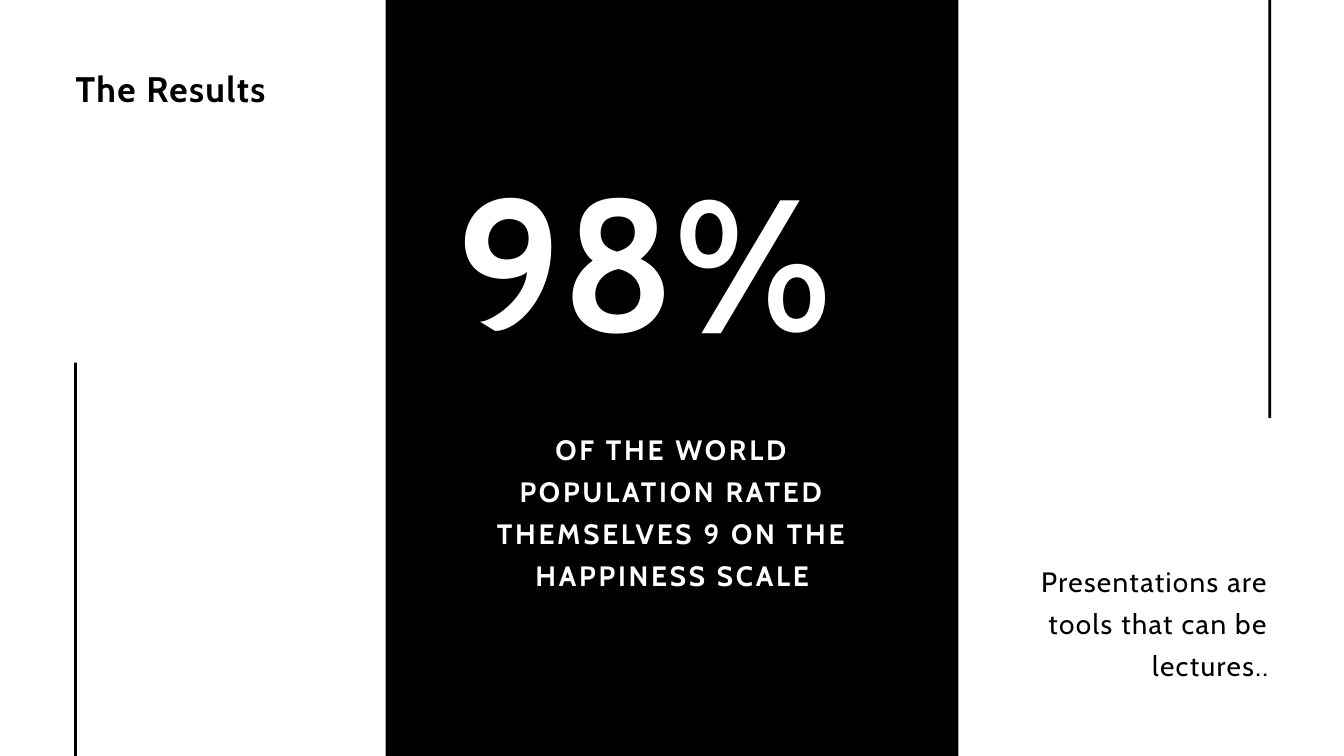
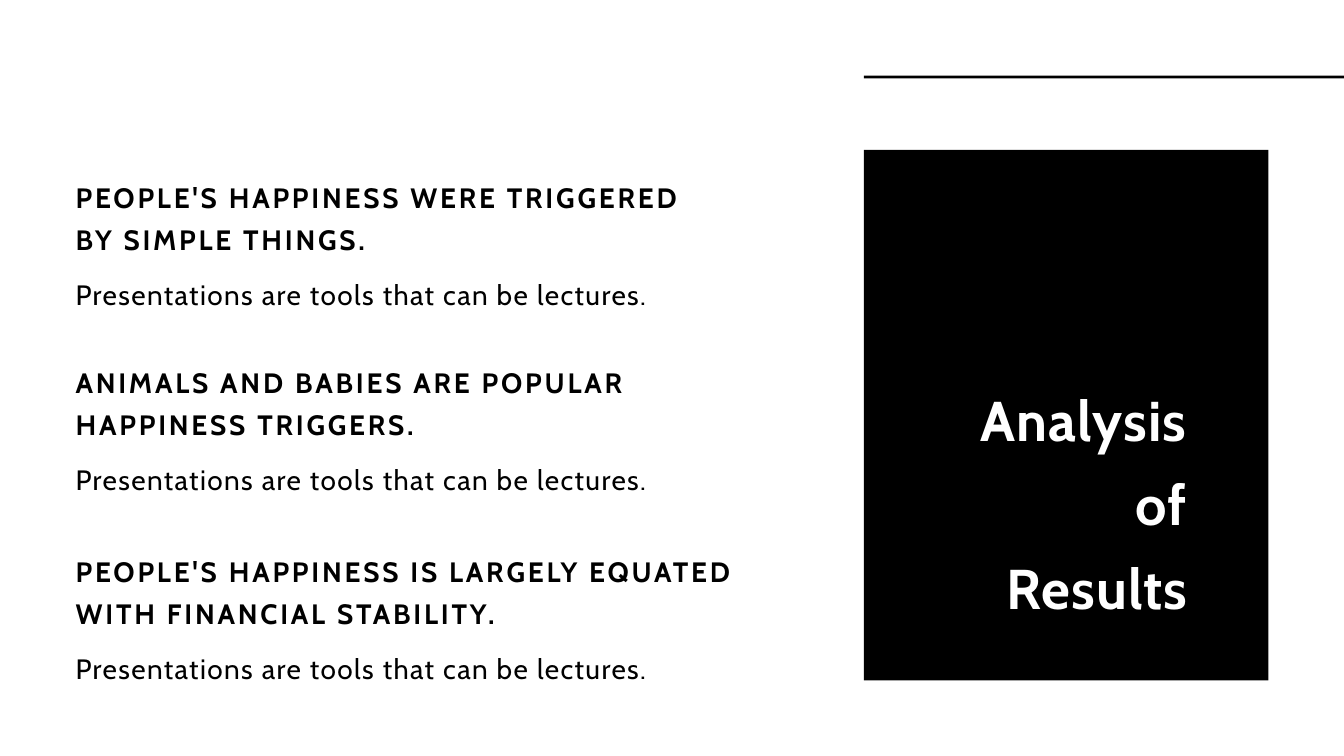
from pptx import Presentation
from pptx.dml.color import RGBColor
from pptx.enum.shapes import MSO_SHAPE
from pptx.enum.text import MSO_AUTO_SIZE, PP_ALIGN
from pptx.util import Emu, Pt

RECTANGLE = MSO_SHAPE.RECTANGLE
GROW = MSO_AUTO_SIZE.SHAPE_TO_FIT_TEXT
LEFT, CENTER, RIGHT = PP_ALIGN.LEFT, PP_ALIGN.CENTER, PP_ALIGN.RIGHT

PX = 9525  # EMU per px, 96 px to the inch
SLIDE_WIDTH, SLIDE_HEIGHT = 1920, 1080
MARGIN = 108
RULE_WEIGHT = 4
BLANK_LAYOUT = 6

BLACK = RGBColor(0x00, 0x00, 0x00)
WHITE = RGBColor(0xFF, 0xFF, 0xFF)
FONT = "Cabin"

# Size, line pitch and letter spacing are in points.
TITLE = {"size": 38, "pitch": 57, "spacing": 1.5, "bold": True}
PANEL_TITLE = {"size": 60, "pitch": 90, "spacing": 1.2, "bold": True}
FIGURE = {"size": 200, "pitch": 206, "spacing": 0, "bold": True}
HEADING = {"size": 30, "pitch": 45, "spacing": 3, "bold": True}
BODY = {"size": 30, "pitch": 45, "spacing": 1.5, "bold": False}

FINDINGS = [
    (246, ["PEOPLE'S HAPPINESS WERE TRIGGERED", "BY SIMPLE THINGS."]),
    (510, ["ANIMALS AND BABIES ARE POPULAR HAPPINESS TRIGGERS."]),
    (780, ["PEOPLE'S HAPPINESS IS LARGELY EQUATED WITH FINANCIAL STABILITY."]),
]
FINDING_BODY = "Presentations are tools that can be lectures."
FINDING_WIDTH = 967
FINDING_BODY_OFFSET = 138


def to_emu(*lengths):
    return [Emu(length * PX) for length in lengths]


def add_slide(deck):
    page = deck.slides.add_slide(deck.slide_layouts[BLANK_LAYOUT])
    page.background.fill.solid()
    page.background.fill.fore_color.rgb = WHITE
    return page


def add_block(page, left, top, width, height):
    """Add a solid black rectangle, used for panels and rules."""
    block = page.shapes.add_shape(RECTANGLE, *to_emu(left, top, width, height))
    block.shadow.inherit = False
    block.fill.solid()
    block.fill.fore_color.rgb = BLACK
    block.line.fill.background()


def add_text(page, lines, place, style, color=BLACK, align=LEFT):
    """Add a text box with one paragraph for each line."""
    box = page.shapes.add_textbox(*to_emu(*place))
    frame = box.text_frame
    frame_format = {"word_wrap": True, "auto_size": GROW, "margin_left": 0,
                    "margin_top": 0, "margin_right": 0, "margin_bottom": 0}
    for name, value in frame_format.items():
        setattr(frame, name, value)
    font_format = {"name": FONT, "size": Pt(style["size"]), "bold": style["bold"]}
    for index, line in enumerate(lines):
        para = frame.add_paragraph() if index else frame.paragraphs[0]
        para.alignment = align
        para.line_spacing = Pt(style["pitch"])
        span = para.add_run()
        span.text = line
        for name, value in font_format.items():
            setattr(span.font, name, value)
        span.font.color.rgb = color
        span._r.get_or_add_rPr().set("spc", str(round(style["spacing"] * 100)))


def add_finding(page, top, heading):
    add_text(page, heading, (MARGIN, top, FINDING_WIDTH, 115), HEADING)
    body_place = (MARGIN, top + FINDING_BODY_OFFSET, FINDING_WIDTH, 55)
    add_text(page, [FINDING_BODY], body_place, BODY)


def build_results(deck):
    page = add_slide(deck)
    add_text(page, ["The Results"], (MARGIN, 81, 354, 72), TITLE)
    add_block(page, 551, -29, 818, 1138)
    add_text(page, ["Presentations are tools that can be lectures.."],
             (1476, 795, 336, 177), BODY, align=RIGHT)
    add_text(page, ["OF THE WORLD POPULATION RATED THEMSELVES 9 ON THE HAPPINESS SCALE"],
             (653, 606, 615, 235), HEADING, WHITE, CENTER)
    add_text(page, ["98%"], (653, 252, 615, 295), FIGURE, WHITE)
    for left, top in [(1812, -597), (106, 518)]:
        add_block(page, left, top, RULE_WEIGHT, 1194)


def build_analysis(deck):
    page = add_slide(deck)
    add_block(page, 1234, 214, 578, 758)
    for top, heading in FINDINGS:
        add_finding(page, top, heading)
    add_text(page, ["Analysis of Results"], (1348, 526, 349, 355),
             PANEL_TITLE, WHITE, RIGHT)
    add_block(page, 1234, MARGIN, 935, RULE_WEIGHT)


def main():
    deck = Presentation()
    deck.slide_width, deck.slide_height = to_emu(SLIDE_WIDTH, SLIDE_HEIGHT)
    build_results(deck)
    build_analysis(deck)
    deck.save("out.pptx")


if __name__ == "__main__":
    main()
